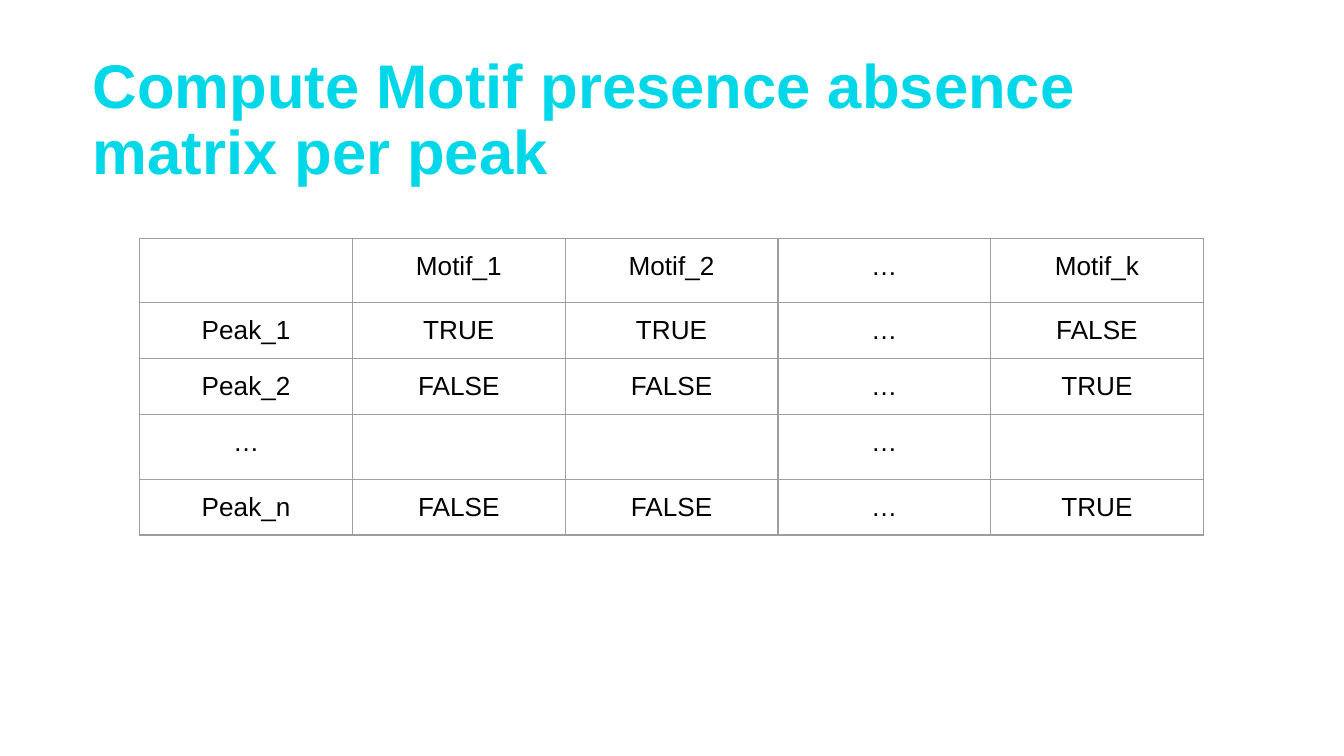
from lxml.etree import SubElement
from pptx import Presentation
from pptx.dml.color import RGBColor
from pptx.enum.text import MSO_ANCHOR as Anchor, PP_ALIGN as Align
from pptx.oxml.ns import qn
from pptx.util import Inches, Pt

SLIDE_WIDTH = Inches(10)
SLIDE_HEIGHT = SLIDE_WIDTH * 9 // 16
TITLE_COLOR, TEXT_COLOR, GRID_COLOR = "00D8EA", "000000", "9E9E9E"
CELL_MARGIN, CELL_BOTTOM = Inches(0.1), Inches(0.08)
MATRIX = [
    ["", "Motif_1", "Motif_2", "…", "Motif_k"],
    ["Peak_1", "TRUE", "TRUE", "…", "FALSE"],
    ["Peak_2", "FALSE", "FALSE", "…", "TRUE"],
    ["…", "", "", "…", ""],
    ["Peak_n", "FALSE", "FALSE", "…", "TRUE"],
]


def color(value):
    """Turn a hex string into a colour."""
    return RGBColor.from_string(value)


def box(left, top, width, height):
    """Turn percentages of the slide into a box."""
    return (int(SLIDE_WIDTH * left / 100), int(SLIDE_HEIGHT * top / 100),
            int(SLIDE_WIDTH * width / 100), int(SLIDE_HEIGHT * height / 100))


def write(frame, text, size, fill, bold=False, align=Align.LEFT, spacing=None):
    """Write one formatted paragraph into a text frame."""
    paragraph = frame.paragraphs[0]
    paragraph.alignment = align
    paragraph.line_spacing = spacing
    run = paragraph.add_run()
    run.text = text
    run.font.name = "Arial"
    run.font.size = Pt(size)
    run.font.bold = bold
    run.font.color.rgb = color(fill)


def add_title(slide, area, text):
    """Place the slide heading in its area."""
    frame = slide.shapes.add_textbox(*area).text_frame
    frame.word_wrap = True
    frame.vertical_anchor = Anchor.TOP
    frame.margin_left = frame.margin_right = 0
    frame.margin_top = frame.margin_bottom = 0
    write(frame, text, 33, TITLE_COLOR, bold=True, spacing=0.9)


def style_cell(cell):
    """Give a cell its margins, thin borders and no fill."""
    cell.margin_left = cell.margin_right = cell.margin_top = CELL_MARGIN
    cell.margin_bottom = CELL_BOTTOM
    properties = cell._tc.get_or_add_tcPr()
    for side in ("a:lnL", "a:lnR", "a:lnT", "a:lnB"):
        line = SubElement(properties, qn(side), w=str(Pt(0.75)))
        solid = SubElement(line, qn("a:solidFill"))
        SubElement(solid, qn("a:srgbClr"), val=GRID_COLOR)
    cell.fill.background()


def add_matrix(slide, area, values):
    """Place the motif matrix with equal columns and rows."""
    left, top, width, height = area
    row_count, column_count = len(values), len(values[0])
    table = slide.shapes.add_table(row_count, column_count, *area).table
    table.first_row = table.horz_banding = False
    for column in table.columns:
        column.width = width // column_count
    for row, row_values in zip(table.rows, values):
        row.height = height // row_count
        for cell, value in zip(row.cells, row_values):
            style_cell(cell)
            if value:
                write(cell.text_frame, value, 14, TEXT_COLOR, align=Align.CENTER)


def main():
    """Build and save the slide."""
    presentation = Presentation()
    presentation.slide_width = SLIDE_WIDTH
    presentation.slide_height = SLIDE_HEIGHT
    slide = presentation.slides.add_slide(presentation.slide_layouts[6])
    add_title(slide, box(6.9, 7.3, 86.2, 14.4),
              "Compute Motif presence absence matrix per peak")
    add_matrix(slide, box(10.4, 31.5, 79.15, 37), MATRIX)
    presentation.save("out.pptx")


if __name__ == "__main__":
    main()
